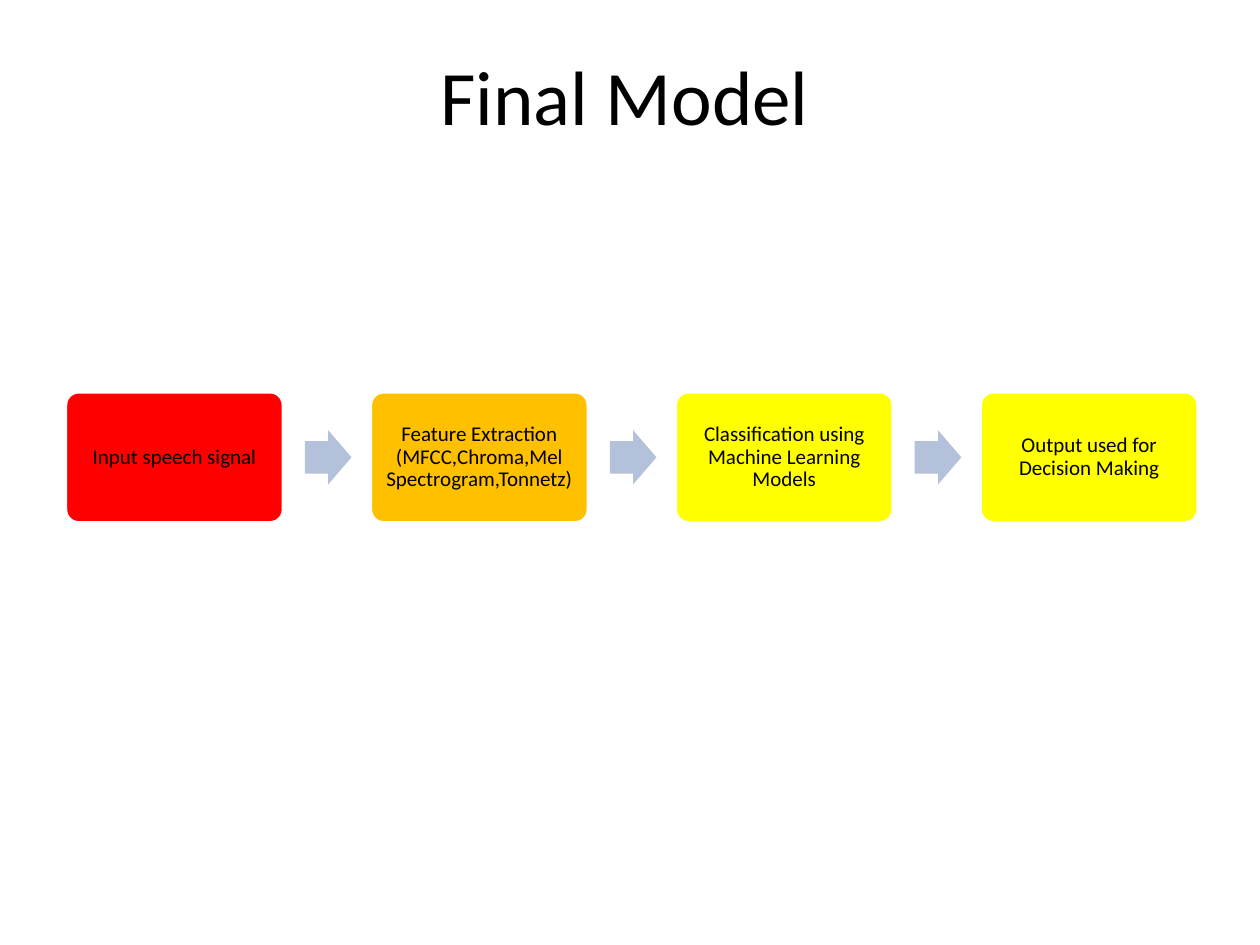
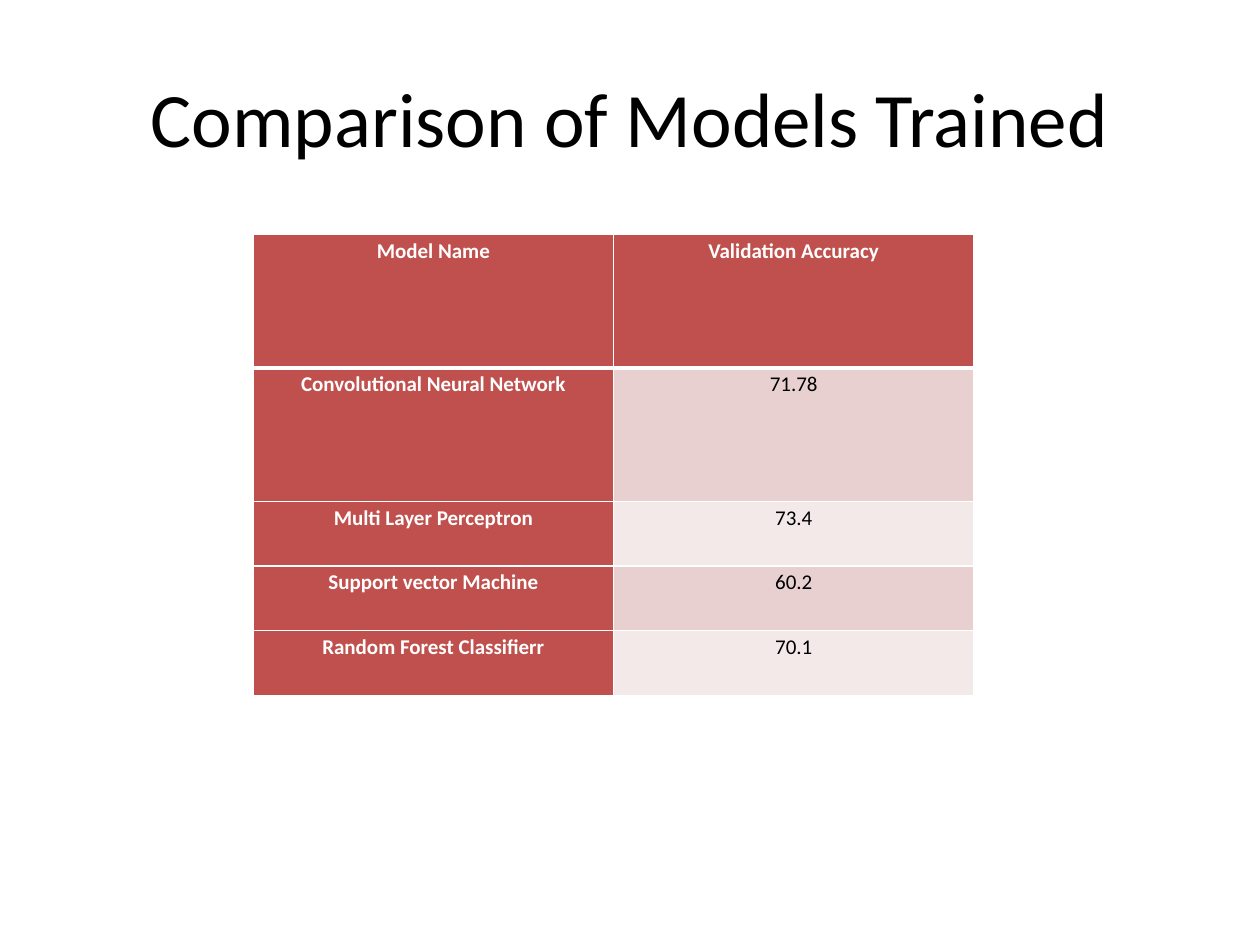
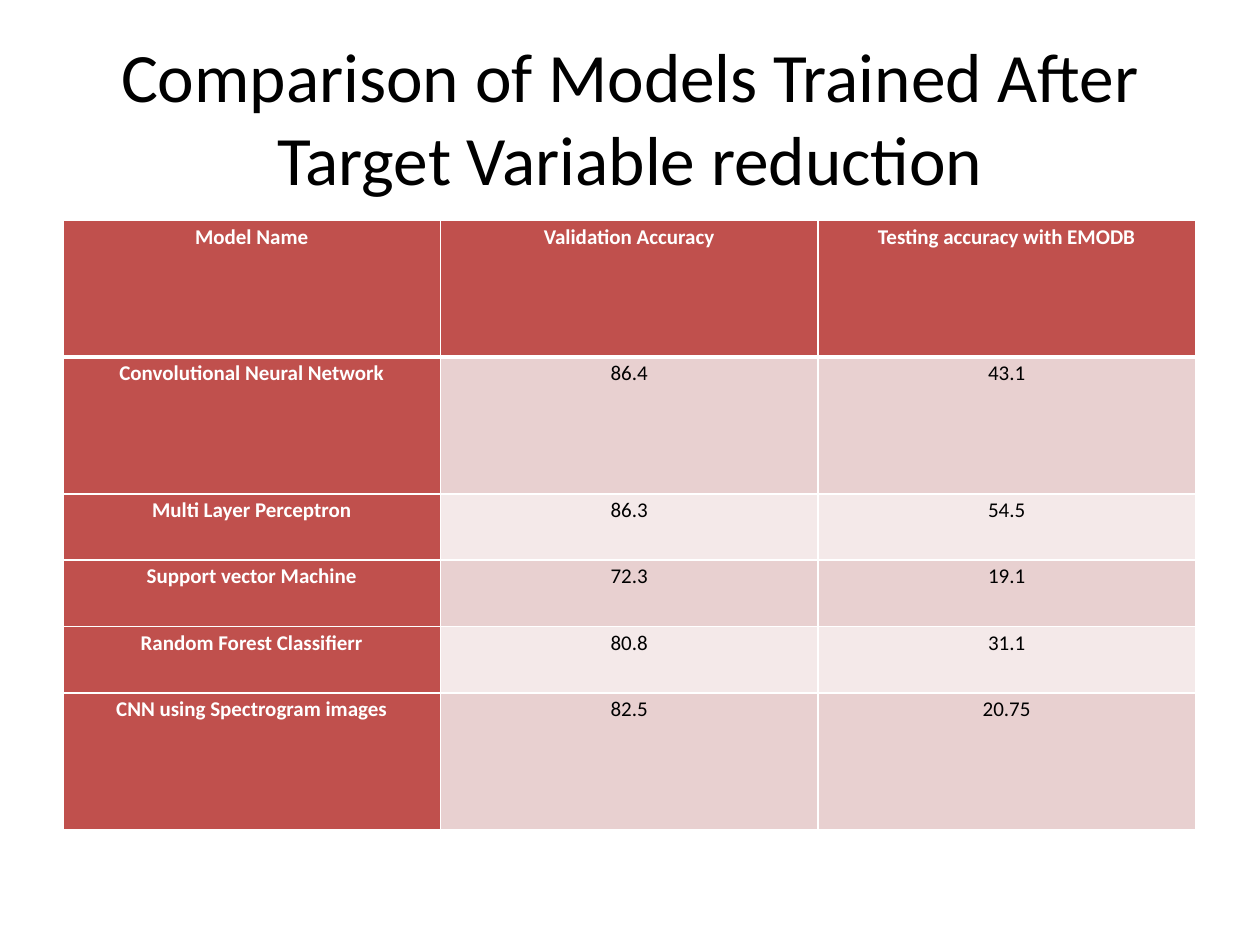
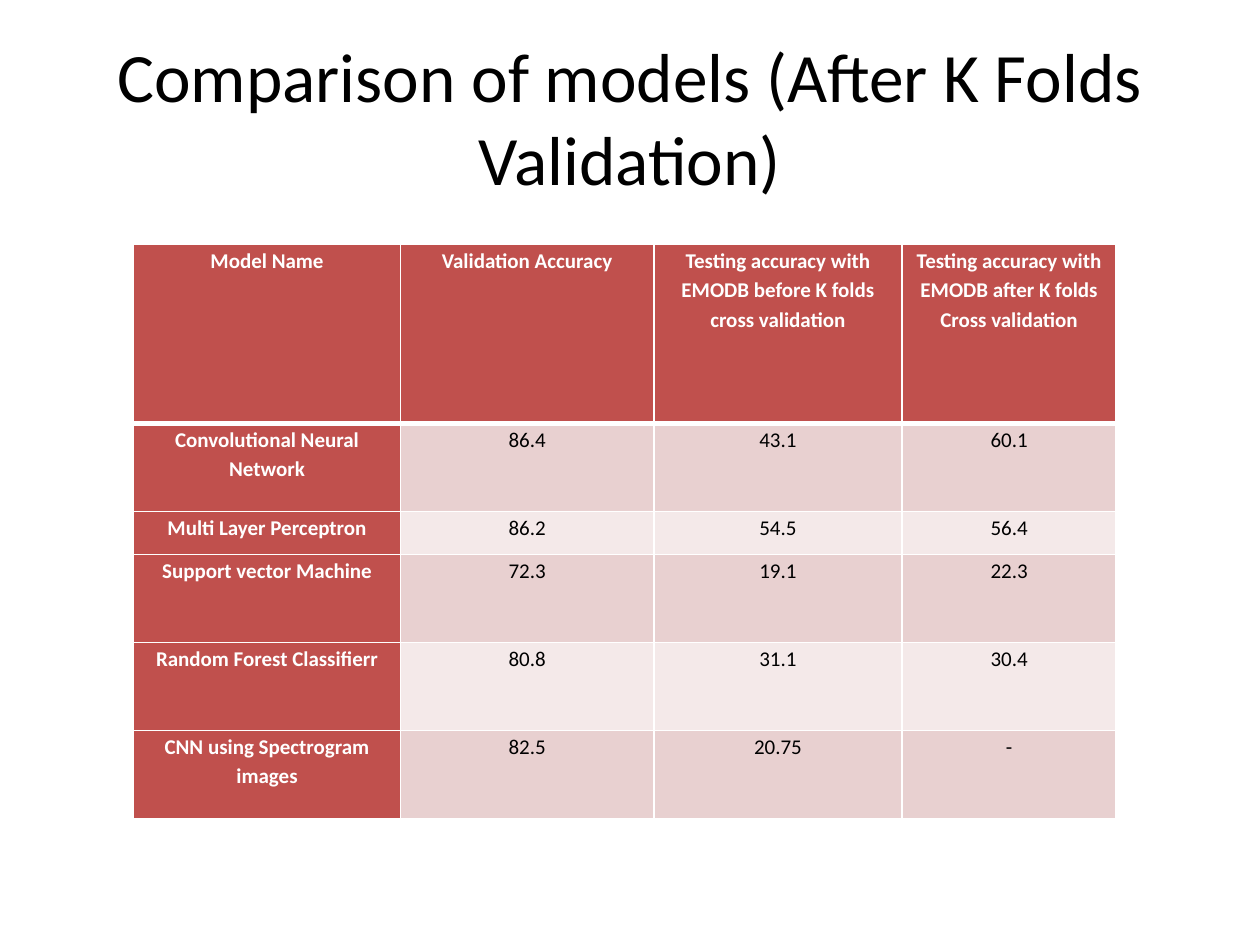
import dataclasses

import lxml.etree
import pptx
import pptx.dml.color
import pptx.enum.shapes
import pptx.enum.text
import pptx.oxml.ns
import pptx.util


@dataclasses.dataclass(frozen=True)
class Theme:
    """Colours, font and type sizes shared by all slides."""
    font: str = "Calibri"
    title_size: float = 44
    long_title_size: float = 39.6
    body_size: float = 12
    ink: str = "000000"
    paper: str = "FFFFFF"
    accent: str = "C0504D"
    bands: tuple = ("E8D0D0", "F4E9E9")
    steps: tuple = ("FF0000", "FFC000", "FFFF00", "FFFF00")
    arrow: str = "B3C1DB"
    box_line: float = 2
    cell_line: float = 1
    header_line: float = 3


class Deck:
    """Draws slide elements on a grid of 100 columns by 75 rows."""
    COLUMNS, ROWS = 100, 75
    TITLE_ONLY = 5

    def __init__(self, theme):
        """Start an empty 10 by 7.5 inch presentation."""
        self.theme = theme
        self.deck = pptx.Presentation()
        self.deck.slide_width = pptx.util.Inches(10)
        self.deck.slide_height = pptx.util.Inches(7.5)
        self.slide = None

    def across(self, columns):
        """Convert grid columns to a length."""
        return int(self.deck.slide_width * columns / self.COLUMNS)

    def down(self, rows):
        """Convert grid rows to a length."""
        return int(self.deck.slide_height * rows / self.ROWS)

    def area(self, left, top, width, height):
        """Convert a grid rectangle to lengths."""
        return self.across(left), self.down(top), self.across(width), self.down(height)

    def paint(self, fill, colour):
        """Give a solid colour to a fill."""
        fill.solid()
        fill.fore_color.rgb = pptx.dml.color.RGBColor.from_string(colour)

    def set_text(self, frame, text, size, colour, spacing=1.0, bold=False):
        """Put centred, formatted text in a text frame."""
        frame.text = text
        frame.word_wrap = True
        for paragraph in frame.paragraphs:
            paragraph.alignment = pptx.enum.text.PP_ALIGN.CENTER
            paragraph.line_spacing = spacing
            for run in paragraph.runs:
                run.font.name = self.theme.font
                run.font.size = pptx.util.Pt(size)
                run.font.bold = bold
                run.font.color.rgb = pptx.dml.color.RGBColor.from_string(colour)

    def add_slide(self, heading, size, left=5, top=3):
        """Add a slide with its title."""
        self.slide = self.deck.slides.add_slide(self.deck.slide_layouts[self.TITLE_ONLY])
        title = self.slide.shapes.title
        title.left, title.top, title.width, title.height = self.area(left, top, 90, 12.5)
        self.set_text(title.text_frame, heading, size, self.theme.ink)
        title.text_frame.auto_size = pptx.enum.text.MSO_AUTO_SIZE.NONE
        title.text_frame.vertical_anchor = pptx.enum.text.MSO_ANCHOR.MIDDLE

    def add_preset(self, kind, place, colour, adjustments):
        """Add a flat preset shape without an outline."""
        preset = self.slide.shapes.add_shape(kind, *self.area(*place))
        preset.shadow.inherit = False
        for index, value in enumerate(adjustments):
            preset.adjustments[index] = value
        self.paint(preset.fill, colour)
        preset.line.fill.background()
        return preset

    def add_step(self, text, place, colour):
        """Add a rounded process step."""
        step = self.add_preset(pptx.enum.shapes.MSO_SHAPE.ROUNDED_RECTANGLE, place, colour, [0.1])
        self.paint(step.line.fill, self.theme.paper)
        step.line.width = pptx.util.Pt(self.theme.box_line)
        frame = step.text_frame
        frame.margin_left = frame.margin_right = self.across(0.5)
        frame.margin_top = frame.margin_bottom = self.down(0.5)
        frame.vertical_anchor = pptx.enum.text.MSO_ANCHOR.MIDDLE
        self.set_text(frame, text, self.theme.body_size, self.theme.ink, 0.9)

    def add_process(self, steps, left, top):
        """Add a row of steps joined by block arrows."""
        step_width, step_height, pitch = 17.3, 10.4, 24.2
        arrow_width, arrow_height, arrow_offset = 3.7, 4.3, 19
        arrow_top = top + (step_height - arrow_height) / 2
        for index, (text, colour) in enumerate(zip(steps, self.theme.steps)):
            step_left = left + index * pitch
            if index:
                self.add_preset(pptx.enum.shapes.MSO_SHAPE.RIGHT_ARROW,
                                (step_left - pitch + arrow_offset, arrow_top, arrow_width, arrow_height),
                                self.theme.arrow, [0.6, 0.5])
            self.add_step(text, (step_left, top, step_width, step_height), colour)

    def add_borders(self, cell, top, bottom):
        """Draw the four lines around a table cell."""
        properties = cell._tc.get_or_add_tcPr()
        thin = self.theme.cell_line
        for side, weight in (("L", thin), ("R", thin), ("T", top), ("B", bottom)):
            line = lxml.etree.SubElement(properties, pptx.oxml.ns.qn(f"a:ln{side}"),
                                         w=str(pptx.util.Pt(weight)))
            solid = lxml.etree.SubElement(line, pptx.oxml.ns.qn("a:solidFill"))
            lxml.etree.SubElement(solid, pptx.oxml.ns.qn("a:srgbClr"), val=self.theme.paper)

    def add_results(self, records, left, top, widths, heights, margin=0.7):
        """Add a results table with a header row and a header column."""
        results = self.slide.shapes.add_table(
            len(heights), len(widths), *self.area(left, top, sum(widths), sum(heights))).table
        results.first_row = results.horz_banding = False
        for column, width in zip(results.columns, widths):
            column.width = self.across(width)
        for row, height in zip(results.rows, heights):
            row.height = self.down(height)
        thin, thick = self.theme.cell_line, self.theme.header_line
        for row_index, record in enumerate(records):
            for column_index, text in enumerate(record):
                cell = results.cell(row_index, column_index)
                is_header = row_index == 0 or column_index == 0
                self.add_borders(cell, thick if row_index == 1 else thin,
                                 thick if row_index == 0 else thin)
                self.paint(cell.fill, self.theme.accent if is_header
                           else self.theme.bands[(row_index - 1) % 2])
                cell.margin_left = cell.margin_right = self.across(margin)
                cell.margin_top = cell.margin_bottom = 0
                self.set_text(cell.text_frame, text, self.theme.body_size,
                              self.theme.paper if is_header else self.theme.ink, 1.15, is_header)


MODELS = ["Model Name", "Convolutional Neural Network", "Multi Layer Perceptron",
          "Support vector Machine", "Random Forest Classifierr", "CNN using Spectrogram images"]
TESTING = ["43.1", "54.5", "19.1", "31.1", "20.75"]


def main():
    """Build the four slides."""
    theme = Theme()
    deck = Deck(theme)

    deck.add_slide("Final Model", theme.title_size, left=4.6, top=1.3)
    deck.add_process([
        "Input speech signal",
        "Feature Extraction (MFCC,Chroma,Mel Spectrogram,Tonnetz)",
        "Classification using Machine Learning Models",
        "Output used for Decision Making",
    ], left=5.2, top=31.1)

    deck.add_slide("Comparison of Models Trained", theme.title_size)
    accuracy = ["Validation Accuracy", "71.78", "73.4", "60.2", "70.1"]
    deck.add_results(zip(MODELS, accuracy), 20.1, 18.6, [28.6] * 2, [10.6] * 2 + [5.13] * 3)

    deck.add_slide("Comparison of Models Trained After Target Variable reduction", theme.long_title_size)
    accuracy = ["Validation Accuracy", "86.4", "86.3", "72.3", "80.8", "82.5"]
    testing = ["Testing accuracy with EMODB"] + TESTING
    deck.add_results(zip(MODELS, accuracy, testing), 5, 17.5, [29.96] * 3,
                     [10.85] * 2 + [5.27] * 3 + [10.85], margin=1)

    deck.add_slide("Comparison of models (After K Folds Validation)", theme.long_title_size)
    accuracy = ["Validation Accuracy", "86.4", "86.2", "72.3", "80.8", "82.5"]
    before = ["Testing accuracy with EMODB before K folds cross validation"] + TESTING
    after = ["Testing accuracy with EMODB after K folds Cross validation",
             "60.1", "56.4", "22.3", "30.4", "-"]
    deck.add_results(zip(MODELS, accuracy, before, after), 10.6, 19.4,
                     [21.2, 20.1, 19.7, 17], [14.2, 7, 3.4] + [7] * 3)

    deck.deck.save("out.pptx")


if __name__ == "__main__":
    main()
